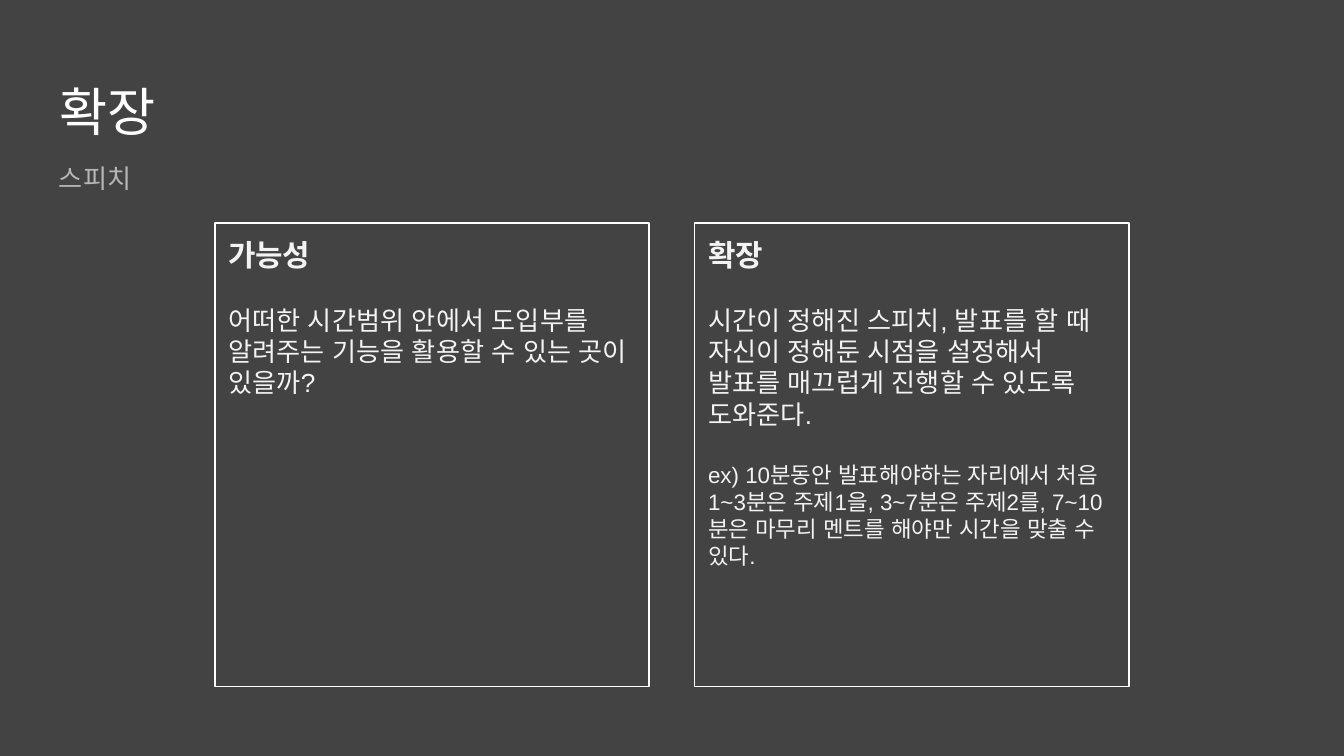
from dataclasses import dataclass

from lxml.etree import SubElement
from pptx import Presentation
from pptx.dml.color import RGBColor
from pptx.enum.shapes import MSO_SHAPE
from pptx.enum.text import MSO_ANCHOR, MSO_AUTO_SIZE, PP_ALIGN
from pptx.oxml.ns import qn
from pptx.util import Inches, Pt


@dataclass(frozen=True)
class Theme:
    font: str = "Arial"
    background: RGBColor = RGBColor(0x43, 0x43, 0x43)
    title_color: RGBColor = RGBColor(0xFF, 0xFF, 0xFF)
    subtitle_color: RGBColor = RGBColor(0xB7, 0xB7, 0xB7)
    card_text: RGBColor = RGBColor(0xF3, 0xF3, 0xF3)
    card_border: RGBColor = RGBColor(0xFF, 0xFF, 0xFF)
    title_size: int = 28
    heading_size: int = 16
    body_size: int = 14
    example_size: int = 12
    paragraph_gap: int = 17


THEME = Theme()

SLIDE_WIDTH = 10
CARD_LEFT, CARD_TOP = 1.6, 1.66
CARD_WIDTH, CARD_HEIGHT = 3.23, 3.45
CARD_GAP = 0.34

CARDS = [
    (
        "가능성",
        [
            (
                "어떠한 시간범위 안에서 도입부를 알려주는 기능을 활용할 수 있는 곳이 있을까?",
                THEME.body_size,
            ),
        ],
    ),
    (
        "확장",
        [
            (
                "시간이 정해진 스피치, 발표를 할 때 자신이 정해둔 시점을 설정해서 "
                "발표를 매끄럽게 진행할 수 있도록 도와준다.",
                THEME.body_size,
            ),
            (
                "ex) 10분동안 발표해야하는 자리에서 처음 1~3분은 주제1을, "
                "3~7분은 주제2를, 7~10분은 마무리 멘트를 해야만 시간을 맞출 수 있다.",
                THEME.example_size,
            ),
        ],
    ),
]


def prepare_frame(shape):
    frame = shape.text_frame
    frame.word_wrap = True
    frame.auto_size = MSO_AUTO_SIZE.NONE
    frame.vertical_anchor = MSO_ANCHOR.TOP
    frame.margin_left = frame.margin_right = Inches(0.1)
    frame.margin_top = frame.margin_bottom = Inches(0.1)
    return frame


def add_run(paragraph, text, size, color, bold=False):
    paragraph.alignment = PP_ALIGN.LEFT
    run = paragraph.add_run()
    run.text = text
    run.font.name = THEME.font
    run.font.size = Pt(size)
    run.font.bold = bold
    run.font.color.rgb = color
    east_asian = SubElement(run.font._element, qn("a:ea"))
    east_asian.set("typeface", THEME.font)


def set_title(slide, text):
    title = slide.shapes.title
    title.left, title.top = Inches(0.34), Inches(0.49)
    title.width, title.height = Inches(9.32), Inches(0.63)
    frame = prepare_frame(title)
    add_run(frame.paragraphs[0], text, THEME.title_size, THEME.title_color)


def add_subtitle(slide, text):
    box = slide.shapes.add_textbox(
        Inches(0.34), Inches(1.11), Inches(5.42), Inches(0.54)
    )
    frame = prepare_frame(box)
    add_run(frame.paragraphs[0], text, THEME.body_size, THEME.subtitle_color)


def add_card(slide, left, heading, body):
    card = slide.shapes.add_shape(
        MSO_SHAPE.RECTANGLE,
        Inches(left),
        Inches(CARD_TOP),
        Inches(CARD_WIDTH),
        Inches(CARD_HEIGHT),
    )
    card.shadow.inherit = False
    card.fill.background()
    card.line.color.rgb = THEME.card_border
    card.line.width = Pt(0.75)
    frame = prepare_frame(card)
    add_run(
        frame.paragraphs[0], heading, THEME.heading_size, THEME.card_text, bold=True
    )
    for text, size in body:
        paragraph = frame.add_paragraph()
        paragraph.space_before = Pt(THEME.paragraph_gap)
        add_run(paragraph, text, size, THEME.card_text)


def main():
    presentation = Presentation()
    presentation.slide_width = Inches(SLIDE_WIDTH)
    presentation.slide_height = Inches(SLIDE_WIDTH * 9 / 16)
    slide = presentation.slides.add_slide(presentation.slide_layouts[5])
    slide.background.fill.solid()
    slide.background.fill.fore_color.rgb = THEME.background

    set_title(slide, "확장")
    add_subtitle(slide, "스피치")
    for index, (heading, body) in enumerate(CARDS):
        left = CARD_LEFT + index * (CARD_WIDTH + CARD_GAP)
        add_card(slide, left, heading, body)

    presentation.save("out.pptx")


if __name__ == "__main__":
    main()
